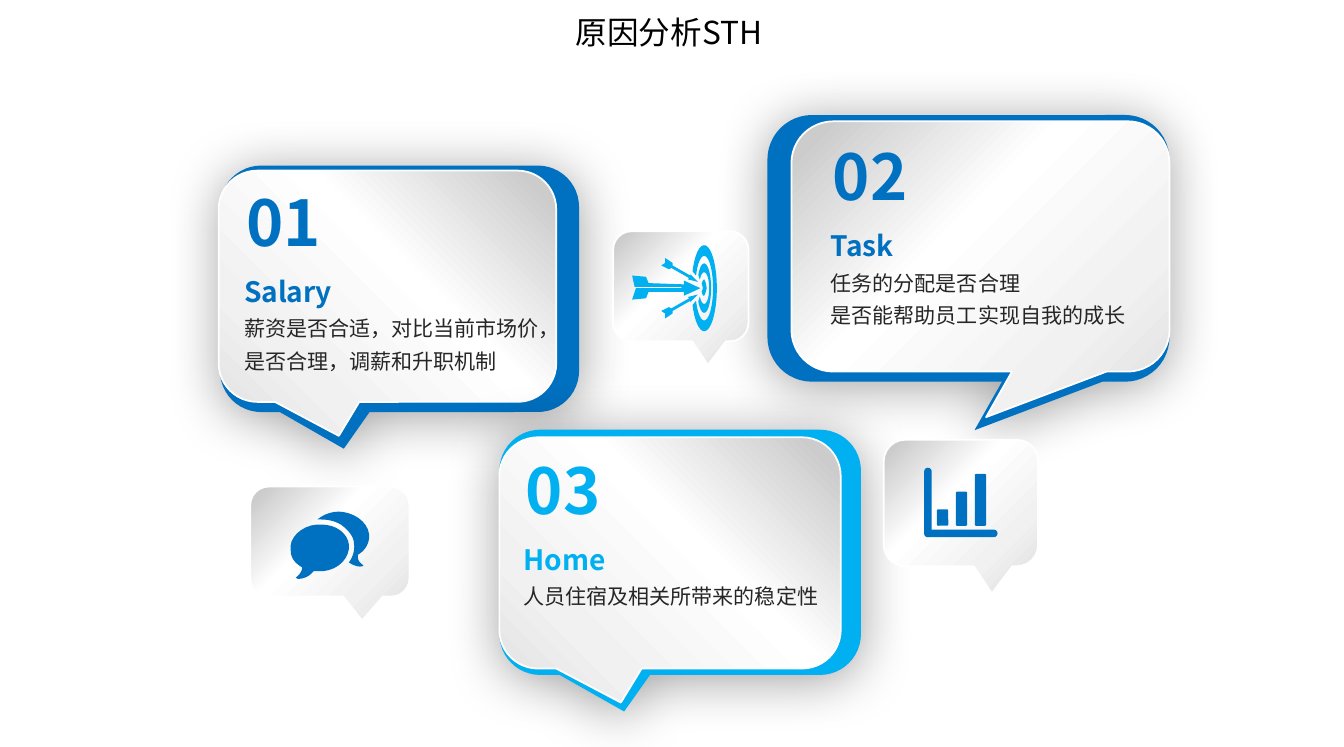
from math import cos, sin, radians
from lxml.etree import SubElement
from pptx import Presentation
from pptx.dml.color import RGBColor
from pptx.enum.shapes import MSO_SHAPE
from pptx.enum.text import PP_ALIGN
from pptx.oxml.ns import qn
from pptx.util import Inches, Pt

FONT = "Noto Sans CJK SC"
COLORS = {"blue": "0070C0", "sky": "00B0F0", "text": "262626",
          "black": "000000", "white": "FFFFFF"}
SILVER = [(6, "CCCCCC"), (43, "FFFFFF"), (80, "F1F1F1"), (100, "E4E4E4")]
SMALL_TAIL = (-0.201, 0.716, 0.167)

# number, heading, lines, colour, flip, back box and tail, front box and tail, text left and top
CARDS = [
    ("02", "Task", ["任务的分配是否合理", "是否能帮助员工实现自我的成长"], "blue", True,
     (6.07, 0.91, 3.18, 2.11), (-0.015, 0.682, 0.167),
     (6.26, 0.96, 2.99, 1.98), (-0.015, 0.682, 0.167), (6.49, 1.04)),
    ("01", "Salary", ["薪资是否合适，对比当前市场价，", "是否合理，调薪和升职机制"], "blue", False,
     (1.74, 1.31, 2.84, 1.95), (-0.155, 0.649, 0.167),
     (1.73, 1.35, 2.67, 1.83), (-0.144, 0.647, 0.167), (1.85, 1.4)),
    ("03", "Home", ["人员住宿及相关所带来的稳定性"], "sky", False,
     (3.95, 3.4, 2.86, 1.94), (-0.155, 0.649, 0.167),
     (3.95, 3.46, 2.7, 1.83), (-0.144, 0.647, 0.167), (4.06, 3.52)),
]

# Icon outlines
BIG_ARROW = [(5.13, 2.31), (5.41, 2.31), (5.41, 2.34), (5.54, 2.28), (5.41, 2.22),
             (5.41, 2.25), (5.13, 2.24), (5.11, 2.19), (5, 2.18), (5.02, 2.27),
             (5.39, 2.27), (5.39, 2.28), (5.03, 2.28), (5, 2.37), (5.11, 2.36)]
SMALL_ARROW = [(5.45, 2.2), (5.44, 2.21), (5.52, 2.23), (5.46, 2.17), (5.46, 2.18),
               (5.32, 2.1), (5.32, 2.08), (5.26, 2.04), (5.26, 2.08), (5.44, 2.18),
               (5.26, 2.08), (5.23, 2.1), (5.29, 2.13), (5.31, 2.12)]
BULLSEYE = [(5.57, 2.21), (5.56, 2.22), (5.55, 2.24), (5.56, 2.28), (5.55, 2.31),
            (5.56, 2.34), (5.57, 2.34), (5.58, 2.32), (5.59, 2.28), (5.58, 2.23)]
BACK_CHAT = [(2.92, 4.26),
             (2.93, 4.16), (2.84, 4.07), (2.71, 4.05), (2.63, 4.04), (2.56, 4.07), (2.51, 4.11),
             (2.52, 4.11), (2.53, 4.11), (2.54, 4.11), (2.61, 4.11), (2.67, 4.13), (2.71, 4.16),
             (2.76, 4.2), (2.8, 4.25), (2.8, 4.3), (2.81, 4.35), (2.79, 4.41), (2.76, 4.45),
             (2.83, 4.5), (2.89, 4.48), (2.87, 4.47), (2.83, 4.44), (2.83, 4.42), (2.83, 4.39),
             (2.88, 4.36), (2.91, 4.32), (2.92, 4.26)]
FRONT_CHAT = [(2.76, 4.31),
              (2.75, 4.22), (2.66, 4.15), (2.54, 4.15), (2.53, 4.15), (2.52, 4.15), (2.51, 4.15),
              (2.38, 4.16), (2.28, 4.26), (2.3, 4.36), (2.3, 4.42), (2.34, 4.46), (2.39, 4.49),
              (2.39, 4.51), (2.38, 4.54), (2.34, 4.57), (2.34, 4.57), (2.35, 4.58), (2.36, 4.58),
              (2.39, 4.58), (2.44, 4.57), (2.48, 4.52), (2.5, 4.52), (2.51, 4.52), (2.52, 4.52),
              (2.53, 4.52), (2.54, 4.52), (2.55, 4.52), (2.68, 4.51), (2.77, 4.41), (2.76, 4.31)]


def rgb(name):
    return RGBColor.from_string(COLORS[name])


def paint(sp, color):
    sp.shadow.inherit = False
    sp.fill.solid()
    sp.fill.fore_color.rgb = rgb(color)
    sp.line.fill.background()


def add_preset(s, kind, box, color):
    sp = s.shapes.add_shape(kind, *map(Inches, box))
    paint(sp, color)
    return sp


def add_callout(s, box, tail, flip, color="white"):
    sp = add_preset(s, MSO_SHAPE.ROUNDED_RECTANGULAR_CALLOUT, box, color)
    for i, value in enumerate(tail):
        sp.adjustments[i] = value
    if flip:
        sp._element.spPr.find(qn("a:xfrm")).set("flipH", "1")
    return sp


def add_glow(sp):
    effects = sp._element.spPr.find(qn("a:effectLst"))
    shadow = SubElement(effects, qn("a:outerShdw"), blurRad=str(Pt(31)), dist=str(Pt(3)),
                        dir="5400000", algn="t", rotWithShape="0")
    tint = SubElement(shadow, qn("a:srgbClr"), val=COLORS["black"])
    SubElement(tint, qn("a:alpha"), val="37000")


def add_silver_callout(s, box, tail, flip):
    sp = add_callout(s, box, tail, flip)
    sp.line.color.rgb = rgb("white")
    sp.line.width = Pt(1)
    sp.fill.gradient()
    grad = sp._element.spPr.find(qn("a:gradFill"))
    stops = grad.find(qn("a:gsLst"))
    for stop in list(stops):
        stops.remove(stop)
    for pos, color in SILVER:
        stop = SubElement(stops, qn("a:gs"), pos=str(pos * 1000))
        SubElement(stop, qn("a:srgbClr"), val=color)
    grad.find(qn("a:lin")).set("ang", str(135 * 60000))


def add_outline(s, points, color):
    pts = [(Inches(x), Inches(y)) for x, y in points]
    builder = s.shapes.build_freeform(*pts[0])
    builder.add_line_segments(pts[1:], close=True)
    paint(builder.convert_to_shape(), color)


def smooth_points(nodes, steps=8):
    """Sample a chain of cubic curves: a start point, then three points per curve."""
    points = [nodes[0]]
    for i in range(0, len(nodes) - 1, 3):
        for k in range(1, steps + 1):
            t = k / steps
            weights = ((1 - t) ** 3, 3 * t * (1 - t) ** 2, 3 * t * t * (1 - t), t ** 3)
            points.append(tuple(sum(w * n[axis] for w, n in zip(weights, nodes[i:i + 4]))
                                for axis in (0, 1)))
    return points


def ring_points(outer, inner, gap):
    """A ring open on its left side by gap degrees above and below."""
    angles = [-180 + gap + i * (360 - 2 * gap) / 48 for i in range(49)]

    def arc(radii, turns):
        return [(5.57 + radii[0] * cos(radians(a)), 2.28 + radii[1] * sin(radians(a)))
                for a in turns]
    return arc(outer, angles) + arc(inner, reversed(angles))


def add_text(s, box, lines, insets=None, spacing=None, align=None):
    """Each line is (text, size, colour, bold)."""
    tf = s.shapes.add_textbox(*map(Inches, box)).text_frame
    tf.word_wrap = True
    if insets:
        tf.margin_left = tf.margin_right = Inches(insets[0])
        tf.margin_top = tf.margin_bottom = Inches(insets[1])
    for i, (text, size, color, bold) in enumerate(lines):
        p = tf.add_paragraph() if i else tf.paragraphs[0]
        p.text = text
        p.line_spacing = spacing
        p.alignment = align
        font = p.runs[0].font
        font.size, font.bold, font.name = Pt(size), bold, FONT
        font.color.rgb = rgb(color)
        SubElement(font._element, qn("a:ea"), typeface=FONT)


def add_target_icon(s):
    mirrored = [(x, 4.56 - y) for x, y in SMALL_ARROW]
    for points in (ring_points((0.1, 0.34), (0.07, 0.255), 23),
                   ring_points((0.055, 0.195), (0.04, 0.125), 32),
                   BULLSEYE, BIG_ARROW, SMALL_ARROW, mirrored):
        add_outline(s, points, "sky")


def add_bars_icon(s):
    for box in ((7.31, 3.7, 0.06, 0.55), (7.31, 4.19, 0.58, 0.06)):
        add_preset(s, MSO_SHAPE.ROUNDED_RECTANGLE, box, "blue").adjustments[0] = 0.5
    for i, top in enumerate((4.03, 3.89, 3.75)):
        box = (7.41 + 0.15 * i, top, 0.09, 4.16 - top)
        add_preset(s, MSO_SHAPE.ROUNDED_RECTANGLE, box, "blue").adjustments[0] = 0.12


def add_chat_icon(s):
    for nodes in (BACK_CHAT, FRONT_CHAT):
        add_outline(s, smooth_points(nodes), "blue")


def main():
    prs = Presentation()
    prs.slide_width, prs.slide_height = Inches(10.63), Inches(5.91)
    s = prs.slides.add_slide(prs.slide_layouts[6])

    # Speech cards
    for _, _, _, color, flip, back, back_tail, front, front_tail, _ in CARDS:
        add_glow(add_callout(s, back, back_tail, flip, color))
        add_silver_callout(s, front, front_tail, flip)

    # Icon bubbles
    for box, add_icon in (((6.99, 3.48, 1.22, 1), add_bars_icon),
                          ((4.85, 1.83, 1.07, 0.87), add_target_icon),
                          ((1.98, 3.85, 1.26, 0.87), add_chat_icon)):
        add_silver_callout(s, box, SMALL_TAIL, True)
        add_icon(s)

    # Card texts
    for number, heading, lines, color, *_, (left, top) in CARDS:
        add_text(s, (left, top, 0.87, 0.35), [(number, 36, color, True)])
        body = [(heading, 16, color, True)] + [(line, 12, "text", False) for line in lines]
        add_text(s, (left, top + 0.65, 2.91, 0.43 + 0.26 * len(lines)), body, (0.08, 0.04), 1.3)

    # Title
    add_text(s, (3.92, 0.06, 2.74, 0.38), [("原因分析STH", 18, "black", False)],
             (0.07, 0.04), align=PP_ALIGN.CENTER)
    prs.save("out.pptx")


if __name__ == "__main__":
    main()
